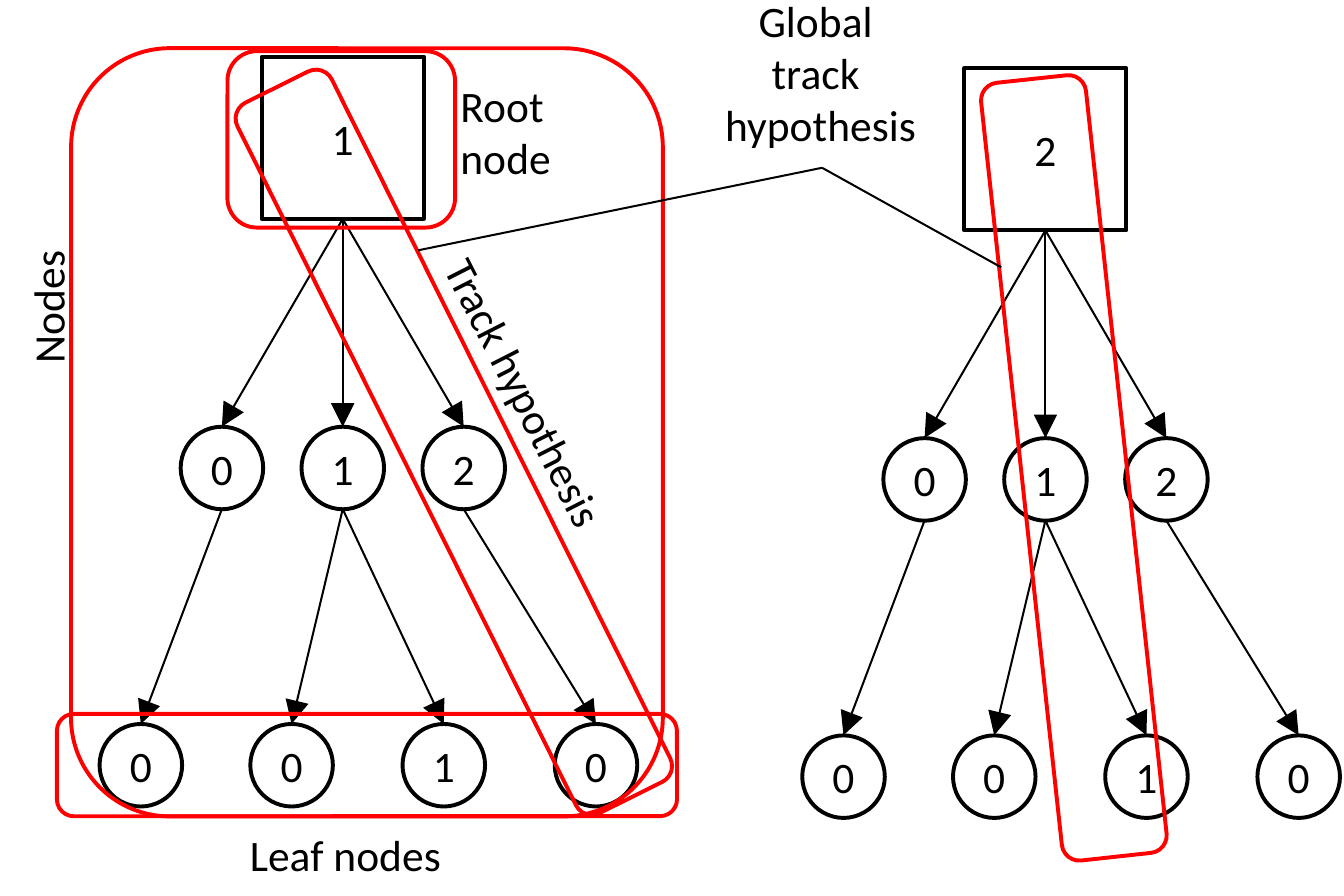
from pptx import Presentation
from pptx.dml.color import RGBColor as Rgb
from pptx.enum.shapes import MSO_CONNECTOR as Link, MSO_SHAPE as Kind
from pptx.enum.text import MSO_ANCHOR as Anchor, PP_ALIGN as Align
from pptx.oxml.ns import qn
from pptx.util import Cm, Inches, Pt
from lxml.etree import SubElement

WIDE, HIGH = Cm(12), Cm(8)
CELL = Inches(0.01)

THEME = {
    "ink": Rgb(0, 0, 0), "mark": Rgb(255, 0, 0), "paper": Rgb(255, 255, 255),
    "font": "Calibri", "size": Pt(11), "edge": Pt(1), "thin": Pt(0.5),
}

TREES = [
    {"root": "1", "axis": 120.5, "top": 20},
    {"root": "2", "axis": 367.5, "top": 24},
]
BRANCHES = [
    ("0", -42.5, [("0", -71)]),
    ("1", 0, [("0", -18), ("1", 35.5)]),
    ("2", 42.5, [("0", 89)]),
]
ROOT, NODE = 57, 29
KID_ROW, LEAF_ROW = 130, 234.5

FRAMES = [
    ((20, 251, 218, 36), 0),
    ((25, 17, 208, 270), 0),
    ((80, 18, 80, 62), 0),
    ((20, 137, 279, 37), 63.5),
    ((240, 146, 275, 37), 83.8),
]
LABELS = [
    (["Leaf nodes"], (78, 286, 87, 29), 0, Align.LEFT),
    (["Nodes"], (-13, 93, 60, 29), 270, Align.LEFT),
    (["Root ", "node"], (152, 23, 55, 47), 0, Align.LEFT),
    (["Track hypothesis"], (119, 130, 137, 29), 63, Align.LEFT),
    (["Global ", "track ", "hypothesis"], (245, -7, 87, 66), 0, Align.CENTER),
]
HUB = (289, 59)
LEADS = [(352, 94), (147, 88)]


def grid(*cells):
    return [round(c * CELL) for c in cells]


def write(shape, lines, align=Align.CENTER, anchor=Anchor.TOP, inset=(10, 5), wrap=False):
    frame = shape.text_frame
    frame.word_wrap = wrap
    frame.vertical_anchor = anchor
    frame.margin_left = frame.margin_right = round(inset[0] * CELL)
    frame.margin_top = frame.margin_bottom = round(inset[1] * CELL)
    frame.text = "\n".join(lines)
    for para in frame.paragraphs:
        para.alignment = align
        for run in para.runs:
            run.font.name = THEME["font"]
            run.font.size = THEME["size"]
            run.font.color.rgb = THEME["ink"]


def outline(shapes, kind, box, color, fill=None):
    shape = shapes.add_shape(kind, *grid(*box))
    shape.shadow.inherit = False
    shape.line.color.rgb = color
    shape.line.width = THEME["edge"]
    if fill is None:
        shape.fill.background()
    else:
        shape.fill.solid()
        shape.fill.fore_color.rgb = fill
    return shape


def node(shapes, text, mid, top, size=NODE, kind=Kind.OVAL, fill=None):
    box = (mid - size / 2, top, size, size)
    shape = outline(shapes, kind, box, THEME["ink"], fill)
    write(shape, [text], anchor=Anchor.MIDDLE, inset=(3, 1), wrap=True)


def join(shapes, start, end, arrow=False):
    line = shapes.add_connector(Link.STRAIGHT, *grid(*start, *end))
    line.line.color.rgb = THEME["ink"]
    line.line.width = THEME["thin"]
    props = line._element.spPr
    if arrow:
        SubElement(props.find(qn("a:ln")), qn("a:tailEnd"), type="triangle")
    SubElement(props, qn("a:effectLst"))


def grow(shapes, root, axis, top):
    kid_top, leaf_top = top + KID_ROW, top + LEAF_ROW
    node(shapes, root, axis, top, ROOT, Kind.RECTANGLE, THEME["paper"])
    for text, shift, leaves in BRANCHES:
        mid = axis + shift
        node(shapes, text, mid, kid_top)
        join(shapes, (axis, top + ROOT), (mid, kid_top), arrow=True)
        for leaf, step in leaves:
            node(shapes, leaf, axis + step, leaf_top)
            join(shapes, (mid, kid_top + NODE), (axis + step, leaf_top), arrow=True)


deck = Presentation()
deck.slide_width, deck.slide_height = WIDE, HIGH
deck.element.sldSz.attrib.pop("type", None)
shapes = deck.slides.add_slide(deck.slide_layouts[6]).shapes

for tree in TREES:
    grow(shapes.add_group_shape().shapes, **tree)
for box, turn in FRAMES:
    outline(shapes, Kind.ROUNDED_RECTANGLE, box, THEME["mark"]).rotation = turn
for lines, box, turn, align in LABELS:
    label = shapes.add_textbox(*grid(*box))
    label.rotation = turn
    write(label, lines, align=align)
for end in LEADS:
    join(shapes, HUB, end)

deck.save("out.pptx")
